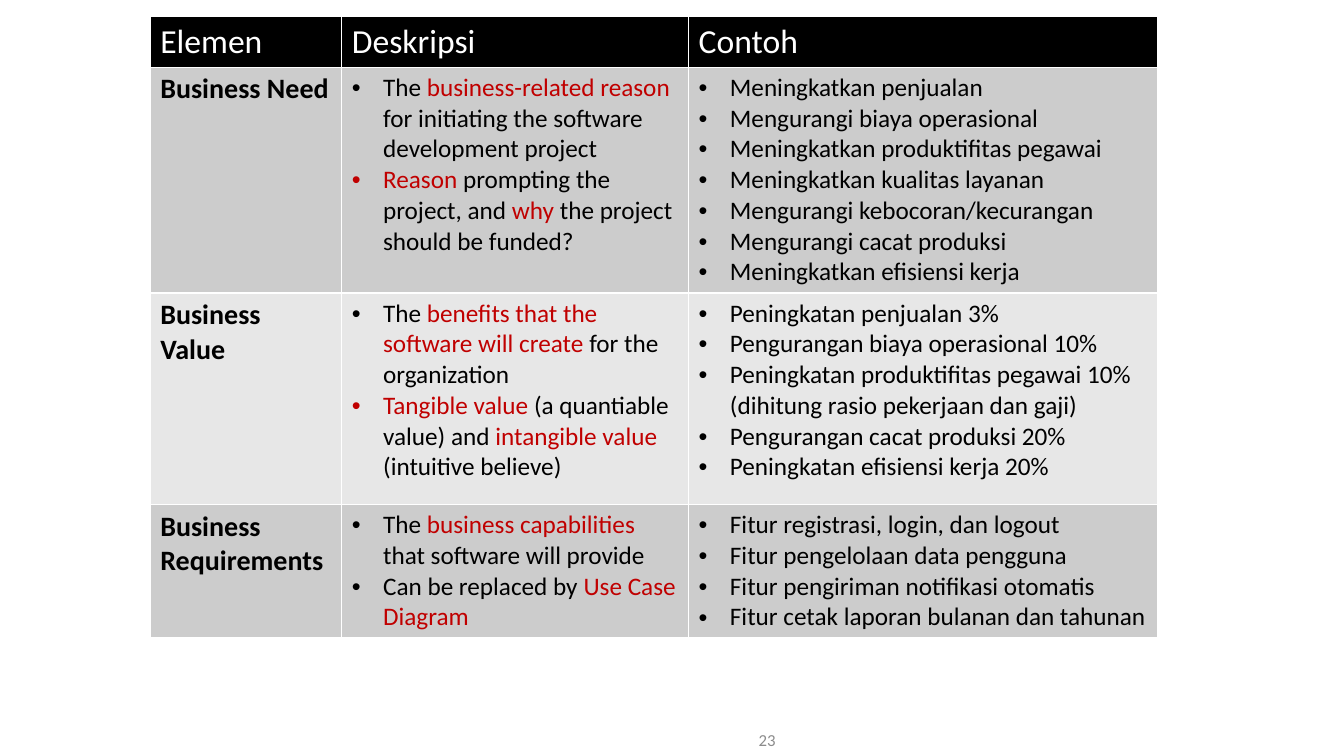
from lxml import etree
from pptx import Presentation
from pptx.dml.color import RGBColor
from pptx.enum import text
from pptx.oxml.ns import qn
from pptx.util import Inches, Pt

COLORS = {"header": "000000", "odd": "CCCCCC", "even": "E7E7E7", "white": "FFFFFF",
          "ink": "000000", "accent": "C00000", "number": "8C8C8C"}

# Content: text between bars is shown in the accent colour
HEADERS = ["Elemen", "Deskripsi", "Contoh"]
ELEMENTS = [
    ("Business Need",
     ["The |business-related reason |for initiating the software development project",
      "|Reason| prompting the project, and |why |the project should be funded?"],
     ["Meningkatkan penjualan",
      "Mengurangi biaya operasional",
      "Meningkatkan produktifitas pegawai",
      "Meningkatkan kualitas layanan",
      "Mengurangi kebocoran/kecurangan",
      "Mengurangi cacat produksi",
      "Meningkatkan efisiensi kerja"]),
    ("Business Value",
     ["The |benefits that the software will create |for the organization",
      "|Tangible value |(a quantiable value) and |intangible value |(intuitive believe)"],
     ["Peningkatan penjualan 3%",
      "Pengurangan biaya operasional 10%",
      "Peningkatan produktifitas pegawai 10% (dihitung rasio pekerjaan dan gaji)",
      "Pengurangan cacat produksi 20%",
      "Peningkatan efisiensi kerja 20%"]),
    ("Business Requirements",
     ["The |business capabilities |that software will provide",
      "Can be replaced by |Use Case Diagram"],
     ["Fitur registrasi, login, dan logout",
      "Fitur pengelolaan data pengguna",
      "Fitur pengiriman notifikasi otomatis",
      "Fitur cetak laporan bulanan dan tahunan"]),
]
PAGE_NUMBER = "23"

# Layout in inches
TABLE_LEFT, TABLE_TOP = 1.49, 0.16
COL_WIDTHS = [1.9, 3.44, 4.65]
ROW_HEIGHTS = [0.5, 2.24, 2.1, 1.32]
INDENT = 0.31

# Text formats
HEADER = {"size": Pt(24), "bold": False, "color": "white"}
ELEMENT = {"size": Pt(20), "bold": True, "color": "ink"}
BULLET = {"size": Pt(18), "bold": False, "color": "ink"}
NUMBER = {"size": Pt(12), "bold": False, "color": "number"}


def rgb(name):
    return RGBColor.from_string(COLORS[name])


def add_run(p, words, style):
    r = p.add_run()
    r.text = words
    r.font.name = "Calibri"
    for key, value in style.items():
        if key == "color":
            r.font.color.rgb = rgb(value)
        else:
            setattr(r.font, key, value)


def add_bullet(p):
    pPr = p._p.get_or_add_pPr()
    pPr.set("marL", str(Inches(INDENT)))
    pPr.set("indent", str(-Inches(INDENT)))
    etree.SubElement(pPr, qn("a:buFont")).set("typeface", "Arial")
    etree.SubElement(pPr, qn("a:buChar")).set("char", "•")


def fill_cell(cell, fill, lines, style, bulleted=False):
    cell.fill.solid()
    cell.fill.fore_color.rgb = rgb(fill)
    tf = cell.text_frame
    for i, line in enumerate(lines):
        p = tf.add_paragraph() if i else tf.paragraphs[0]
        if bulleted:
            add_bullet(p)
        for j, words in enumerate(line.split("|")):
            if words:
                add_run(p, words, {**style, "color": "accent"} if j % 2 else style)


prs = Presentation()
prs.slide_width, prs.slide_height = Inches(13.33), Inches(7.5)
s = prs.slides.add_slide(prs.slide_layouts[6])

# Table grid
table = s.shapes.add_table(
    len(ROW_HEIGHTS), len(COL_WIDTHS), Inches(TABLE_LEFT), Inches(TABLE_TOP),
    Inches(sum(COL_WIDTHS)), Inches(sum(ROW_HEIGHTS))).table
for column, width in zip(table.columns, COL_WIDTHS):
    column.width = Inches(width)
for row, height in zip(table.rows, ROW_HEIGHTS):
    row.height = Inches(height)

# Header and element rows
for col, heading in enumerate(HEADERS):
    fill_cell(table.cell(0, col), "header", [heading], HEADER)
for row, (name, description, examples) in enumerate(ELEMENTS, 1):
    band = "odd" if row % 2 else "even"
    fill_cell(table.cell(row, 0), band, [name], ELEMENT)
    fill_cell(table.cell(row, 1), band, description, BULLET, True)
    fill_cell(table.cell(row, 2), band, examples, BULLET, True)

# Page number
tf = s.shapes.add_textbox(Inches(5.54), Inches(7.17), Inches(2.25), Inches(0.33)).text_frame
tf.word_wrap = True
tf.vertical_anchor = text.MSO_ANCHOR.MIDDLE
p = tf.paragraphs[0]
p.alignment = text.PP_ALIGN.RIGHT
add_run(p, PAGE_NUMBER, NUMBER)

prs.save("out.pptx")
